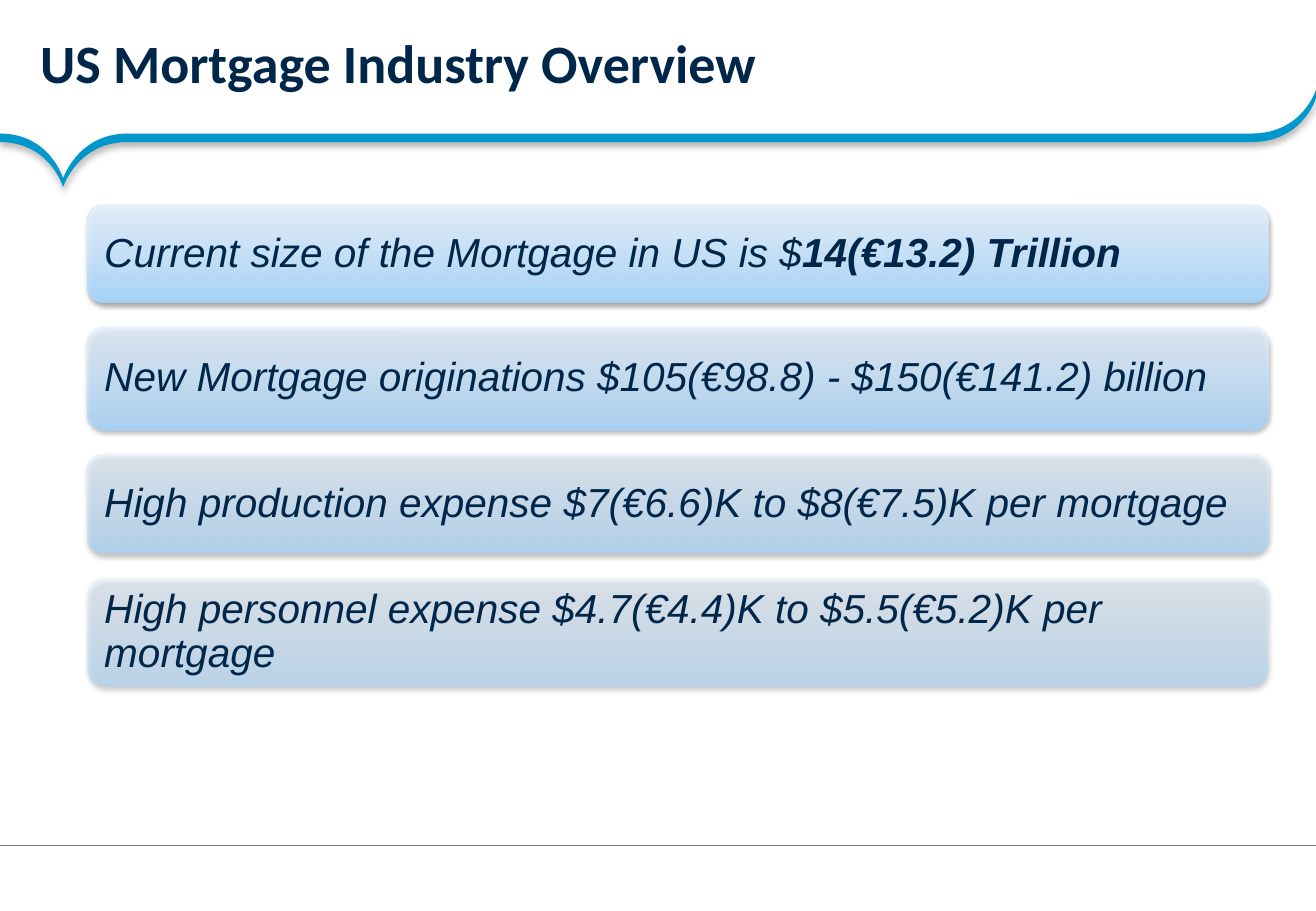
from lxml.etree import SubElement
from pptx import Presentation
from pptx.dml.color import RGBColor
from pptx.enum.shapes import MSO_CONNECTOR, MSO_SHAPE
from pptx.enum.text import MSO_ANCHOR, MSO_AUTO_SIZE, PP_ALIGN
from pptx.oxml.ns import qn
from pptx.util import Emu, Pt

SCALE = 9144
WIDTH, HEIGHT = 1083, 750
COLORS = {
    "ink": "00264A",
    "ribbon": "0098CC",
    "rule": "7F7F7F",
    "shadow": "000000",
    "card_low": "A5D6FF",
    "card_mid": "BFE1FF",
    "card_high": "E7F3FF",
}
CARD_STOPS = ((0, "card_low"), (35, "card_mid"), (100, "card_high"))
FACTS = (
    (80, (("Current size of the Mortgage in US is $", False), ("14(€13.2) Trillion", True))),
    (85, (("New Mortgage originations $105(€98.8) - $150(€141.2) billion", False),)),
    (82, (("High production expense $7(€6.6)K to $8(€7.5)K per mortgage", False),)),
    (89, (("High personnel expense $4.7(€4.4)K to $5.5(€5.2)K per mortgage", False),)),
)
CARD_LEFT, CARD_TOP, CARD_WIDTH, CARD_GAP, CARD_INSET = 72, 169, 972, 20, 4
RIBBON_THICKNESS = 7
RIBBON_EDGE = (
    (0, 110),
    (41, 110), (52, 147), (52, 147),
    (52, 147), (64, 110), (105, 110),
    (105, 110), (1030, 110), (1030, 110),
    (1072, 110), (1083, 74), (1083, 74),
)


def px(length):
    """Turn px into EMU."""
    return Emu(round(length * SCALE))


def rgb(color):
    """Look up a colour by its role."""
    return RGBColor.from_string(COLORS[color])


def write(frame, runs, *, font, size, spacing, insets, italic=False):
    """Fill a text frame with one left-aligned paragraph of (text, bold) runs."""
    frame.word_wrap = True
    frame.auto_size = MSO_AUTO_SIZE.NONE
    frame.vertical_anchor = MSO_ANCHOR.MIDDLE
    frame.margin_left, frame.margin_top, frame.margin_right, frame.margin_bottom = map(px, insets)
    paragraph = frame.paragraphs[0]
    paragraph.alignment = PP_ALIGN.LEFT
    paragraph.line_spacing = spacing
    for text, bold in runs:
        run = paragraph.add_run()
        run.text = text
        run.font.name, run.font.size = font, Pt(size)
        run.font.bold, run.font.italic = bold, italic
        run.font.color.rgb = rgb("ink")


class Deck:
    """Hold the style and the current slide."""

    def __init__(self):
        """Start a deck with one title-only slide."""
        self.presentation = Presentation()
        self.presentation.slide_width = px(WIDTH)
        self.presentation.slide_height = px(HEIGHT)
        self.slide = self.presentation.slides.add_slide(self.presentation.slide_layouts[5])

    def color_xml(self, parent, color, alpha):
        """Add a colour with an opacity in percent."""
        node = SubElement(parent, qn("a:srgbClr"), val=COLORS[color])
        SubElement(node, qn("a:alpha"), val=str(alpha * 1000))

    def shadow(self, shape, alpha, blur, distance):
        """Drop a soft shadow straight down."""
        shape.shadow.inherit = False
        effects = shape._element.spPr.find(qn("a:effectLst"))
        outer = SubElement(effects, qn("a:outerShdw"), blurRad=str(Pt(blur)), dist=str(Pt(distance)),
                           dir="5400000", rotWithShape="0")
        self.color_xml(outer, "shadow", alpha)

    def title(self, text):
        """Place the slide title."""
        heading = self.slide.shapes.title
        heading.left, heading.top, heading.width, heading.height = map(px, (0, 0, WIDTH, 110))
        write(heading.text_frame, ((text, True),), font="Calibri", size=32, spacing=0.85,
              insets=(33, 4, 18, 4))

    def ribbon(self):
        """Draw the curved band below the title."""
        lower = [(x, y + RIBBON_THICKNESS) for x, y in reversed(RIBBON_EDGE)]
        outline = [(px(x), px(y)) for x, y in (*RIBBON_EDGE, lower[0], lower[0], *lower)]
        builder = self.slide.shapes.build_freeform(*outline[0])
        builder.add_line_segments(outline[1:], close=True)
        band = builder.convert_to_shape()
        segments = list(band._element.iter(qn("a:lnTo")))
        for first in range(0, len(outline) - 1, 3):
            triple = segments[first:first + 3]
            curve = triple[0].makeelement(qn("a:cubicBezTo"))
            triple[0].addprevious(curve)
            for segment in triple:
                curve.append(segment[0])
                segment.getparent().remove(segment)
        band.fill.solid()
        band.fill.fore_color.rgb = rgb("ribbon")
        band.line.fill.background()
        self.shadow(band, 31, 4, 2)

    def rule(self, y):
        """Draw a thin line across the slide."""
        footer_rule = self.slide.shapes.add_connector(MSO_CONNECTOR.STRAIGHT, px(WIDTH), px(y), px(0), px(y))
        footer_rule.line.color.rgb = rgb("rule")
        footer_rule.line.width = Pt(0.75)
        SubElement(footer_rule._element.spPr, qn("a:effectLst"))

    def card(self, top, height, alpha):
        """Draw a translucent gradient card."""
        card = self.slide.shapes.add_shape(MSO_SHAPE.ROUNDED_RECTANGLE, px(CARD_LEFT), px(top),
                                           px(CARD_WIDTH), px(height))
        card.fill.gradient()
        card.fill.gradient_angle = 90
        stops = card._element.spPr.find(qn("a:gradFill")).find(qn("a:gsLst"))
        for stop in list(stops):
            stops.remove(stop)
        for position, color in CARD_STOPS:
            stop = SubElement(stops, qn("a:gs"), pos=str(position * 1000))
            self.color_xml(stop, color, alpha)
        card.line.fill.background()
        self.shadow(card, 38, 3.1, 1.6)

    def fact(self, top, height, runs):
        """Write a fact inside its card."""
        fact = self.slide.shapes.add_textbox(px(CARD_LEFT + CARD_INSET), px(top + CARD_INSET),
                                             px(CARD_WIDTH - 2 * CARD_INSET), px(height - 2 * CARD_INSET))
        write(fact.text_frame, runs, font="Arial", size=24, spacing=0.9,
              insets=(10, 10, 10, 10), italic=True)


def main():
    """Build and save the slide."""
    deck = Deck()
    deck.ribbon()
    deck.rule(696)
    deck.title("US Mortgage Industry Overview")
    top = CARD_TOP
    for index, (height, runs) in enumerate(FACTS):
        deck.card(top, height, alpha=round(90 - 40 * index / (len(FACTS) - 1)))
        deck.fact(top, height, runs)
        top += height + CARD_GAP
    deck.presentation.save("out.pptx")


if __name__ == "__main__":
    main()
